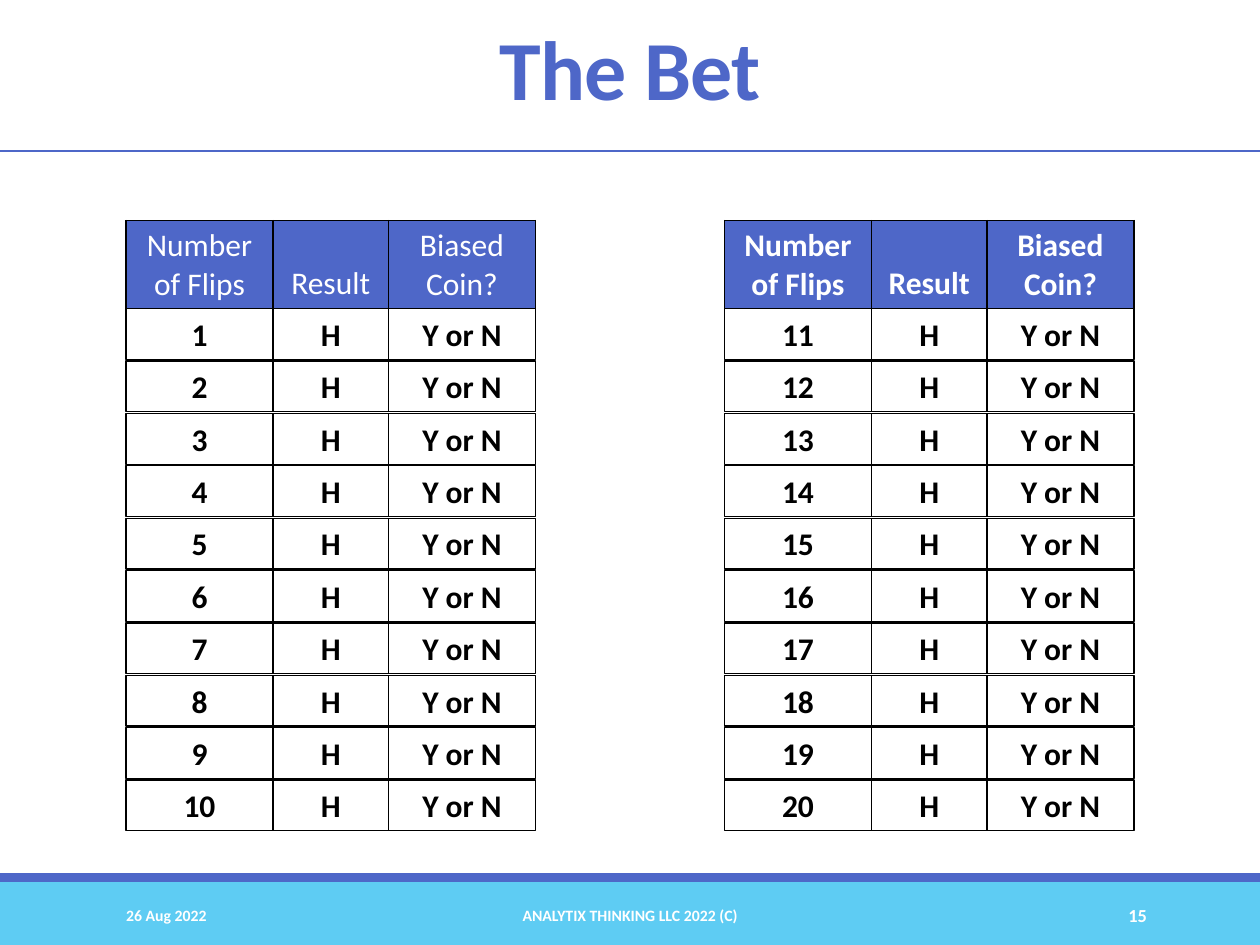
from lxml.etree import SubElement
from pptx import Presentation
from pptx.dml.color import RGBColor
from pptx.enum.shapes import MSO_CONNECTOR, MSO_SHAPE
from pptx.enum.text import MSO_ANCHOR, PP_ALIGN
from pptx.oxml.ns import qn
from pptx.util import Pt

BLUE, SKY, WHITE, BLACK = "4E67C8", "5ECCF3", "FFFFFF", "000000"
COLUMN_WIDTHS = (84, 66, 84)
HEADINGS = ("Number of Flips", "Result", "Biased Coin?")
HEADER_HEIGHT, ROW_HEIGHT, ROW_PITCH = 50.4, 29, 29.93


def color(value):
    return RGBColor.from_string(value)


def style_font(font, size, value, bold=True):
    font.name, font.size, font.bold = "Calibri", Pt(size), bold
    font.color.rgb = color(value)


def write(shape, text, size, value, align, anchor=MSO_ANCHOR.MIDDLE):
    frame = shape.text_frame
    frame.word_wrap = True
    frame.vertical_anchor = anchor
    para = frame.paragraphs[0]
    para.text = text
    para.alignment = align
    style_font(para.font, size, value)
    return para


def add_text(page, box, text, size, value, align):
    return write(page.shapes.add_textbox(*map(Pt, box)), text, size, value, align)


def add_rectangle(page, box, fill=None, line=None):
    shape = page.shapes.add_shape(MSO_SHAPE.RECTANGLE, *map(Pt, box))
    shape.shadow.inherit = False
    if fill:
        shape.fill.solid()
        shape.fill.fore_color.rgb = color(fill)
    else:
        shape.fill.background()
    if line:
        shape.line.color.rgb = color(line)
        shape.line.width = Pt(0.75)
    else:
        shape.line.fill.background()
    return shape


def add_borders(cell):
    properties = cell._tc.get_or_add_tcPr()
    for side in ("a:lnL", "a:lnR", "a:lnT", "a:lnB"):
        border = SubElement(properties, qn(side), w=str(Pt(1)))
        SubElement(SubElement(border, qn("a:solidFill")), qn("a:srgbClr"), val=BLACK)


def header_table(page, left, top, bold):
    table = page.shapes.add_table(
        1, len(HEADINGS), Pt(left), Pt(top), Pt(sum(COLUMN_WIDTHS)), Pt(HEADER_HEIGHT)
    ).table
    table.first_row = table.horz_banding = False
    for column, width, cell, heading in zip(
        table.columns, COLUMN_WIDTHS, table.rows[0].cells, HEADINGS
    ):
        column.width = Pt(width)
        add_borders(cell)
        cell.fill.solid()
        cell.fill.fore_color.rgb = color(BLUE)
        cell.vertical_anchor = MSO_ANCHOR.BOTTOM
        para = cell.text_frame.paragraphs[0]
        para.alignment = PP_ALIGN.CENTER
        span = para.add_run()
        span.text = heading
        style_font(span.font, 18, WHITE, bold)


def flip_list(page, left, top, flips, bold_header):
    """Place a header table with one row of outlined boxes per flip below it."""
    header_table(page, left, top, bold_header)
    for row, flip in enumerate(flips):
        row_top = top + HEADER_HEIGHT + row * ROW_PITCH
        for column, text in enumerate((str(flip), "H", "Y or N")):
            box_left = left + sum(COLUMN_WIDTHS[:column])
            box = (box_left, row_top, COLUMN_WIDTHS[column], ROW_HEIGHT)
            shape = add_rectangle(page, box, line=BLACK)
            write(shape, text, 18, BLACK, PP_ALIGN.CENTER, MSO_ANCHOR.TOP)


def title(page, box, rule_top):
    rule = page.shapes.add_connector(
        MSO_CONNECTOR.STRAIGHT, Pt(0), Pt(rule_top), Pt(720), Pt(rule_top)
    )
    rule.line.color.rgb = color(BLUE)
    rule.line.width = Pt(1)
    SubElement(rule._element.spPr, qn("a:effectLst"))
    para = add_text(page, box, "The Bet", 48, BLUE, PP_ALIGN.CENTER)
    para.line_spacing = 0.85
    para.runs[0]._r.get_or_add_rPr().set("spc", "-50")


def footer(page, left, top, width, height):
    add_rectangle(page, (left, top, width, height), fill=SKY)
    add_rectangle(page, (left, top - 5, width, 5), fill=BLUE)
    for offset, part_width, text, size, align in (
        (65, 146, "26 Aug 2022", 9, PP_ALIGN.LEFT),
        (217.5, 285, "ANALYTIX THINKING LLC 2022 (C)", 9, PP_ALIGN.CENTER),
        (584.5, 78, "15", 10.5, PP_ALIGN.RIGHT),
    ):
        add_text(page, (left + offset, top + 4.5, part_width, 28.8), text, size, WHITE, align)


def main():
    deck = Presentation()
    deck.slide_width, deck.slide_height = Pt(720), Pt(540)
    page = deck.slides.add_slide(deck.slide_layouts[6])
    footer(page, 0, 504, 720, 36)
    flip_list(page, 72, 126, range(1, 11), bold_header=False)
    flip_list(page, 414, 126, range(11, 21), bold_header=True)
    title(page, (63, 11.5, 594, 62), rule_top=86.4)
    deck.save("out.pptx")


if __name__ == "__main__":
    main()
